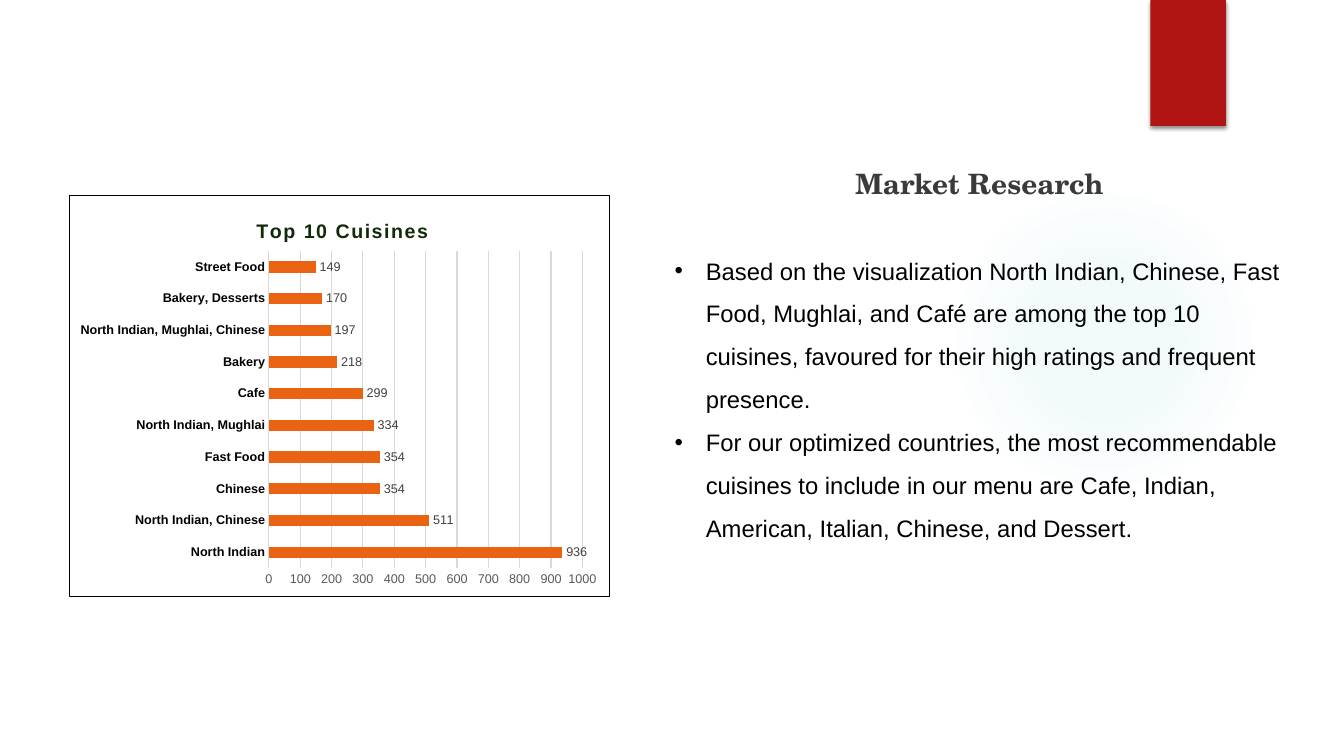
"""Build the Market Research slide with a chart of the top ten cuisines."""
from lxml import etree
from pptx import Presentation
from pptx.chart.data import CategoryChartData
from pptx.dml.color import RGBColor
from pptx.enum.chart import XL_CHART_TYPE, XL_LABEL_POSITION, XL_TICK_MARK
from pptx.enum.shapes import MSO_SHAPE
from pptx.enum.text import MSO_ANCHOR, MSO_AUTO_SIZE, PP_ALIGN
from pptx.oxml import parse_xml
from pptx.oxml.ns import nsdecls, qn
from pptx.util import Inches, Pt

BAR_CLUSTERED = XL_CHART_TYPE.BAR_CLUSTERED
OUTSIDE_END = XL_LABEL_POSITION.OUTSIDE_END
NO_TICKS = XL_TICK_MARK.NONE
OVAL, RECTANGLE = MSO_SHAPE.OVAL, MSO_SHAPE.RECTANGLE
TOP, MIDDLE = MSO_ANCHOR.TOP, MSO_ANCHOR.MIDDLE
NO_AUTOFIT = MSO_AUTO_SIZE.NONE
LEFT, CENTER = PP_ALIGN.LEFT, PP_ALIGN.CENTER

BLACK = RGBColor(0x00, 0x00, 0x00)
WHITE = RGBColor(0xFF, 0xFF, 0xFF)
RED = RGBColor(0xB0, 0x15, 0x13)
ORANGE = RGBColor(0xEA, 0x63, 0x12)
TEAL = RGBColor(0x4C, 0xB9, 0xC3)
HEADING_GRAY = RGBColor(0x3A, 0x3A, 0x3A)
LABEL_GRAY = RGBColor(0x40, 0x40, 0x40)
AXIS_GRAY = RGBColor(0x59, 0x59, 0x59)
GRID_GRAY = RGBColor(0xD9, 0xD9, 0xD9)
DARK_GREEN = RGBColor(0x11, 0x2B, 0x08)

GLOW_STOPS = [(0, 7), (36, 6), (69, 0), (100, 0)]
CUISINES = [
    ("North Indian", 936),
    ("North Indian, Chinese", 511),
    ("Chinese", 354),
    ("Fast Food", 354),
    ("North Indian, Mughlai", 334),
    ("Cafe", 299),
    ("Bakery", 218),
    ("North Indian, Mughlai, Chinese", 197),
    ("Bakery, Desserts", 170),
    ("Street Food", 149),
]
FINDINGS = [
    "Based on the visualization North Indian, Chinese, Fast Food, Mughlai, and Café are among "
    "the top 10 cuisines, favoured for their high ratings and frequent presence.",
    "For our optimized countries, the most recommendable cuisines to include in our menu are "
    "Cafe, Indian, American, Italian, Chinese, and Dessert.",
]


def style_font(font, size, color, bold=False, name="Arial"):
    font.name = name
    font.size = Pt(size)
    font.bold = bold
    font.color.rgb = color


def place_in_chart(parent, index, target, **fractions):
    for old_layout in parent.findall(qn("c:layout")):
        parent.remove(old_layout)
    layout = etree.Element(qn("c:layout"))
    manual = etree.SubElement(layout, qn("c:manualLayout"))
    if target:
        etree.SubElement(manual, qn("c:layoutTarget"), val=target)
    for side in ("x", "y"):
        etree.SubElement(manual, qn(f"c:{side}Mode"), val="edge")
    for side, fraction in fractions.items():
        etree.SubElement(manual, qn(f"c:{side}"), val=str(fraction))
    parent.insert(index, layout)


presentation = Presentation()
presentation.slide_width = Inches(13.33)
presentation.slide_height = Inches(7.5)
slide = presentation.slides.add_slide(presentation.slide_layouts[1])
heading, findings = slide.placeholders

glow = slide.shapes.add_shape(OVAL, Inches(9.41), Inches(1.83), Inches(3.08), Inches(3.08))
glow.shadow.inherit = False
glow.line.fill.background()
stops = "".join(
    f'<a:gs pos="{position * 1000}"><a:srgbClr val="{TEAL}">'
    f'<a:alpha val="{opacity * 1000}"/></a:srgbClr></a:gs>'
    for position, opacity in GLOW_STOPS
)
glow.element.spPr.find(qn("a:prstGeom")).addnext(parse_xml(
    f'<a:gradFill {nsdecls("a")}><a:gsLst>{stops}</a:gsLst><a:path path="circle">'
    '<a:fillToRect l="50000" t="50000" r="50000" b="50000"/></a:path></a:gradFill>'
))

ribbon = slide.shapes.add_shape(RECTANGLE, Inches(11.41), 0, Inches(0.75), Inches(1.25))
ribbon.shadow.inherit = False
ribbon.fill.solid()
ribbon.fill.fore_color.rgb = RED
ribbon.line.fill.background()
ribbon.element.spPr.find(qn("a:effectLst")).append(parse_xml(
    f'<a:outerShdw {nsdecls("a")} blurRad="{Pt(3)}" dist="{Pt(2)}" dir="5400000">'
    f'<a:srgbClr val="{BLACK}"><a:alpha val="45000"/></a:srgbClr></a:outerShdw>'
))

for placeholder, top, height, anchor in (
    (heading, 1.57, 0.5, MIDDLE),
    (findings, 2.35, 3.1, TOP),
):
    placeholder.left, placeholder.top = Inches(6.59), Inches(top)
    placeholder.width, placeholder.height = Inches(6.25), Inches(height)
    placeholder.text_frame.word_wrap = True
    placeholder.text_frame.auto_size = NO_AUTOFIT
    placeholder.text_frame.vertical_anchor = anchor
    slide.shapes._spTree.append(placeholder.element)

heading_line = heading.text_frame.paragraphs[0]
heading_line.alignment = CENTER
heading_run = heading_line.add_run()
heading_run.text = "Market Research"
style_font(heading_run.font, 20, HEADING_GRAY, True, "TeX Gyre Schola")

for index, finding in enumerate(FINDINGS):
    frame = findings.text_frame
    point = frame.add_paragraph() if index else frame.paragraphs[0]
    properties = point._p.get_or_add_pPr()
    properties.set("marL", str(Inches(0.31)))
    properties.set("indent", str(-Inches(0.31)))
    bullet_color = etree.SubElement(properties, qn("a:buClr"))
    etree.SubElement(bullet_color, qn("a:srgbClr"), val=str(BLACK))
    etree.SubElement(properties, qn("a:buFont"), typeface="Arial")
    etree.SubElement(properties, qn("a:buChar"), char="•")
    point.alignment = LEFT
    point.line_spacing = 1.5
    point.space_before = Pt(0)
    finding_run = point.add_run()
    finding_run.text = finding
    style_font(finding_run.font, 17, BLACK)

cuisine_data = CategoryChartData()
cuisine_data.categories = [cuisine for cuisine, _ in CUISINES]
cuisine_data.add_series("Series 1", [count for _, count in CUISINES])
chart = slide.shapes.add_chart(
    BAR_CLUSTERED, Inches(0.68), Inches(1.93), Inches(5.37), Inches(3.99), cuisine_data
).chart
style_font(chart.font, 10, BLACK)
chart.has_legend = False
chart.has_title = True
title_run = chart.chart_title.text_frame.paragraphs[0].add_run()
title_run.text = "Top 10 Cuisines"
style_font(title_run.font, 14, DARK_GREEN, True)
title_run._r.get_or_add_rPr().set("spc", "100")

chart_space = chart._chartSpace
place_in_chart(chart_space.chart.find(qn("c:title")), 1, None, x=0.34, y=0.05)
place_in_chart(chart_space.chart.plotArea, 0, "inner", x=0.37, y=0.14, w=0.58, h=0.79)
chart_space.chart.addnext(parse_xml(
    f'<c:spPr {nsdecls("c", "a")}><a:solidFill><a:srgbClr val="{WHITE}"/></a:solidFill>'
    f'<a:ln w="{Pt(0.75)}"><a:solidFill><a:srgbClr val="{BLACK}"/></a:solidFill></a:ln></c:spPr>'
))

bars = chart.plots[0]
bars.gap_width = 182
bars.vary_by_categories = False
bars.series[0].format.fill.solid()
bars.series[0].format.fill.fore_color.rgb = ORANGE
bars.has_data_labels = True
bars.data_labels.show_value = True
bars.data_labels.position = OUTSIDE_END
style_font(bars.data_labels.font, 9, LABEL_GRAY)

cuisine_axis, count_axis = chart.category_axis, chart.value_axis
for axis, color, bold in ((cuisine_axis, BLACK, True), (count_axis, AXIS_GRAY, False)):
    axis.major_tick_mark = axis.minor_tick_mark = NO_TICKS
    style_font(axis.tick_labels.font, 9, color, bold)
count_axis.minimum_scale, count_axis.maximum_scale = 0, 1000
count_axis.major_unit = 100
count_axis.format.line.fill.background()
for line in (cuisine_axis.format.line, count_axis.major_gridlines.format.line):
    line.color.rgb = GRID_GRAY
    line.width = Pt(0.75)

presentation.save("out.pptx")
